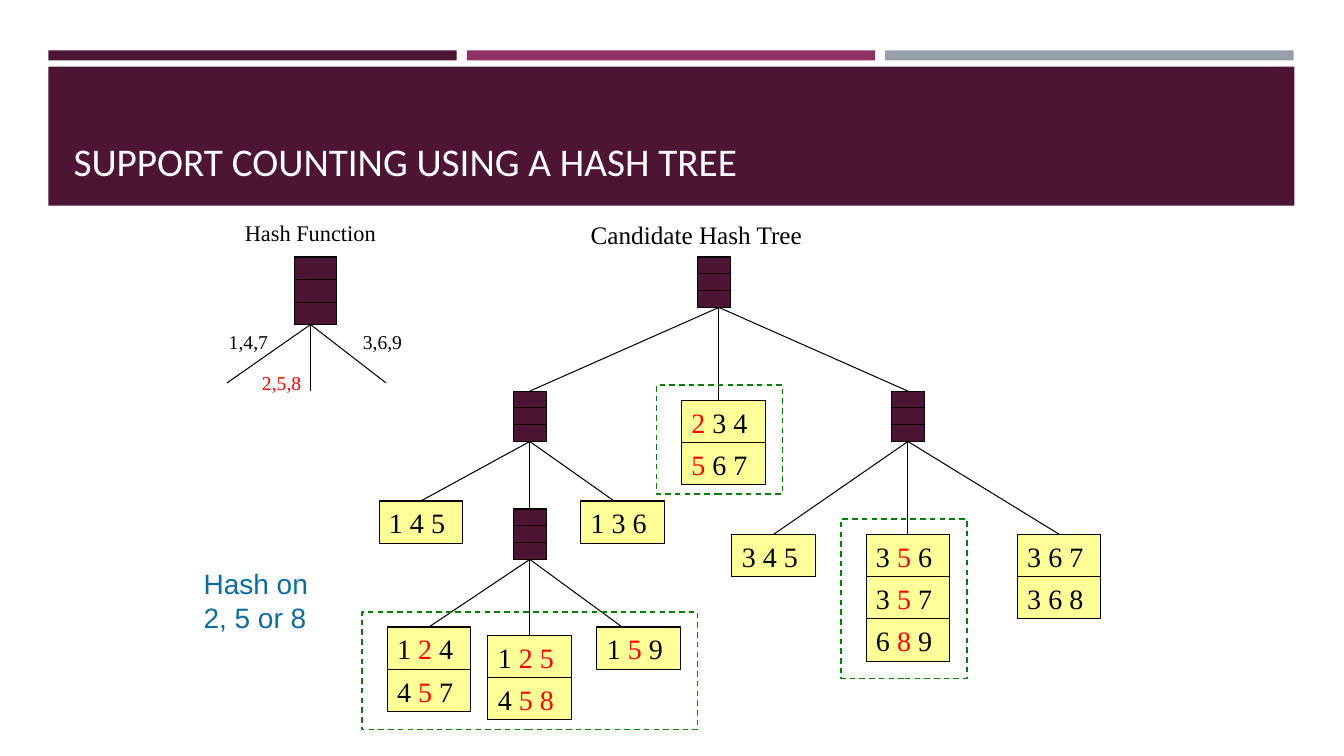
import itertools

import pptx
import pptx.dml.color
import pptx.enum.dml
import pptx.enum.shapes
import pptx.enum.text
import pptx.oxml
import pptx.util

Inches = pptx.util.Inches
Pt = pptx.util.Pt
RGBColor = pptx.dml.color.RGBColor

PLUM = RGBColor(0x4D, 0x14, 0x34)
MAGENTA = RGBColor(0x90, 0x31, 0x63)
GREY = RGBColor(0x96, 0x9F, 0xA7)
WHITE = RGBColor(0xFF, 0xFF, 0xFF)
BLACK = RGBColor(0x00, 0x00, 0x00)
RED = RGBColor(0xFF, 0x00, 0x00)
YELLOW = RGBColor(0xFF, 0xFF, 0x99)
GREEN = RGBColor(0x00, 0x80, 0x00)
BLUE = RGBColor(0x0C, 0x6D, 0x9C)

SERIF = "Times New Roman"
HASHED_DIGITS = "258"
LEAF_WIDTH, LEAF_HEIGHT = 0.83, 0.42
NODE_WIDTH, NODE_HEIGHT = 0.33, 0.5
TOP, BOTTOM = 0, 2  # connection sites of a rectangle

# Offsets from the top left corner of the tree
NODES = {
    "root": (3.33, 0.42),
    "left": (1.5, 1.75),
    "right": (5.25, 1.75),
    "lower": (1.5, 2.92),
}
# name: (x, y, itemsets, whether the hash on 2, 5 or 8 reaches it)
LEAVES = {
    "145": (0.17, 2.84, ["1 4 5"], False),
    "136": (2.17, 2.84, ["1 3 6"], False),
    "234": (3.17, 1.84, ["2 3 4", "5 6 7"], True),
    "345": (3.67, 3.17, ["3 4 5"], False),
    "356": (5.0, 3.17, ["3 5 6", "3 5 7", "6 8 9"], True),
    "367": (6.5, 3.17, ["3 6 7", "3 6 8"], False),
    "124": (0.25, 4.09, ["1 2 4", "4 5 7"], True),
    "125": (1.25, 4.17, ["1 2 5", "4 5 8"], True),
    "159": (2.33, 4.09, ["1 5 9"], True),
}
CHILDREN = {
    "root": ["left", "234", "right"],
    "left": ["145", "lower", "136"],
    "right": ["345", "356", "367"],
    "lower": ["124", "125", "159"],
}
OFF_CENTRE_STARTS = {"root": 3.54}
OFF_CENTRE_ENDS = {"234": 3.54, "136": 2.5, "159": 2.58}
REACHED_AREAS = [
    (0, 3.94, 3.33, 1.17),
    (2.92, 1.69, 1.25, 1.08),
    (4.75, 3.02, 1.25, 1.58),
]


def add_rectangle(slide, left, top, width, height, fill=None, line=None):
    box = slide.shapes.add_shape(
        pptx.enum.shapes.MSO_SHAPE.RECTANGLE,
        Inches(left), Inches(top), Inches(width), Inches(height))
    box.shadow.inherit = False
    if fill is None:
        box.fill.background()
    else:
        box.fill.solid()
        box.fill.fore_color.rgb = fill
    if line is None:
        box.line.fill.background()
    else:
        box.line.color.rgb = line
        box.line.width = Pt(0.75)
    return box


def add_line(slide, x1, y1, x2, y2):
    line = slide.shapes.add_connector(
        pptx.enum.shapes.MSO_CONNECTOR.STRAIGHT,
        Inches(x1), Inches(y1), Inches(x2), Inches(y2))
    line.line.color.rgb = BLACK
    line.line.width = Pt(0.75)
    line.element.spPr.append(pptx.oxml.parse_xml(
        '<a:effectLst xmlns:a="http://schemas.openxmlformats.org/drawingml/2006/main"/>'))
    return line


def add_label(slide, left, top, width, height, text, size,
              color=BLACK, font=SERIF, wrap=False):
    box = slide.shapes.add_textbox(
        Inches(left), Inches(top), Inches(width), Inches(height))
    box.text_frame.word_wrap = wrap
    para = box.text_frame.paragraphs[0]
    para.text = text
    para.font.size = Pt(size)
    para.font.name = font
    para.font.color.rgb = color


def add_node(slide, left, top, width, height):
    """Draw a hash node: a box cut into three equal slots."""
    box = add_rectangle(slide, left, top, width, height, PLUM, BLACK)
    for slot in (1, 2):
        y = top + slot * height / 3
        add_line(slide, left, y, left + width, y)
    return box


def add_leaf(slide, left, top, itemsets, reached):
    """Stack the itemsets, reddening hashed digits, and return the top cell."""
    cells = []
    for row, itemset in enumerate(itemsets):
        cell = add_rectangle(slide, left, top + row * LEAF_HEIGHT,
                             LEAF_WIDTH, LEAF_HEIGHT, YELLOW, BLACK)
        frame = cell.text_frame
        frame.word_wrap = True
        frame.vertical_anchor = pptx.enum.text.MSO_ANCHOR.TOP
        para = frame.paragraphs[0]
        para.alignment = pptx.enum.text.PP_ALIGN.LEFT
        para.font.size = Pt(20)
        para.font.name = SERIF
        for hashed, part in itertools.groupby(
                itemset, lambda sign: reached and sign in HASHED_DIGITS):
            span = para.add_run()
            span.text = "".join(part)
            span.font.color.rgb = RED if hashed else BLACK
        cells.append(cell)
    return cells[0]


def add_heading(slide, left, top, width, text):
    for index, color in enumerate((PLUM, MAGENTA, GREY)):
        add_rectangle(slide, left + index * 4.15, top, 4.05, 0.1, color)
    add_rectangle(slide, left, top + 0.16, width, 1.38, PLUM)
    title = slide.shapes.title
    slide.shapes.element.append(title.element)  # in front of the band
    title.left, title.top = Inches(left + 0.15), Inches(top + 0.3)
    title.width, title.height = Inches(width - 0.3), Inches(1.08)
    title.text_frame.vertical_anchor = pptx.enum.text.MSO_ANCHOR.BOTTOM
    title.text_frame.word_wrap = True
    para = title.text_frame.paragraphs[0]
    para.text = text
    para.alignment = pptx.enum.text.PP_ALIGN.LEFT
    para.font.size = Pt(28)
    para.font.name = "Calibri"
    para.font.color.rgb = WHITE


def add_hash_function(slide, left, top):
    add_node(slide, left + 0.75, top + 0.42, 0.42, 0.67)
    for x, y in ((0.08, 1.67), (0.91, 1.75), (1.66, 1.67)):
        add_line(slide, left + 0.91, top + 1.09, left + x, top + y)
    add_label(slide, left + 0.16, top, 1.51, 0.37, "Hash Function", 16)
    for x, y, digits, color in ((0, 1.09, "1,4,7", BLACK),
                                (0.33, 1.5, "2,5,8", RED),
                                (1.33, 1.09, "3,6,9", BLACK)):
        add_label(slide, left + x, top + y, 0.59, 0.33, digits, 14, color)


def add_candidate_tree(slide, left, top):
    add_label(slide, left + 2.17, top, 2.32, 0.4, "Candidate Hash Tree", 18)
    boxes = {name: add_node(slide, left + x, top + y, NODE_WIDTH, NODE_HEIGHT)
             for name, (x, y) in NODES.items()}
    for name, (x, y, itemsets, reached) in LEAVES.items():
        boxes[name] = add_leaf(slide, left + x, top + y, itemsets, reached)
    for parent, children in CHILDREN.items():
        for child in children:
            start_x = OFF_CENTRE_STARTS.get(parent, 0)
            end_x = OFF_CENTRE_ENDS.get(child, 0)
            start_y = NODES[parent][1] + NODE_HEIGHT
            end_y = (NODES.get(child) or LEAVES[child])[1]
            edge = add_line(slide, left + start_x, top + start_y,
                            left + end_x, top + end_y)
            if parent not in OFF_CENTRE_STARTS:
                edge.begin_connect(boxes[parent], BOTTOM)
            if child not in OFF_CENTRE_ENDS:
                edge.end_connect(boxes[child], TOP)
    for x, y, width, height in REACHED_AREAS:
        area = add_rectangle(slide, left + x, top + y, width, height, line=GREEN)
        area.line.width = Pt(1)
        area.line.dash_style = pptx.enum.dml.MSO_LINE.DASH


def main():
    deck = pptx.Presentation()
    deck.slide_width, deck.slide_height = Inches(13.33), Inches(7.5)
    slide = deck.slides.add_slide(deck.slide_layouts.get_by_name("Title Only"))
    add_heading(slide, 0.48, 0.5, 12.36, "SUPPORT COUNTING USING A HASH TREE")
    add_hash_function(slide, 2.17, 2.13)
    add_candidate_tree(slide, 3.59, 2.13)
    add_label(slide, 1.92, 5.57, 1.25, 0.77, "Hash on 2, 5 or 8", 20,
              BLUE, "Arial", wrap=True)
    deck.save("out.pptx")


if __name__ == "__main__":
    main()
